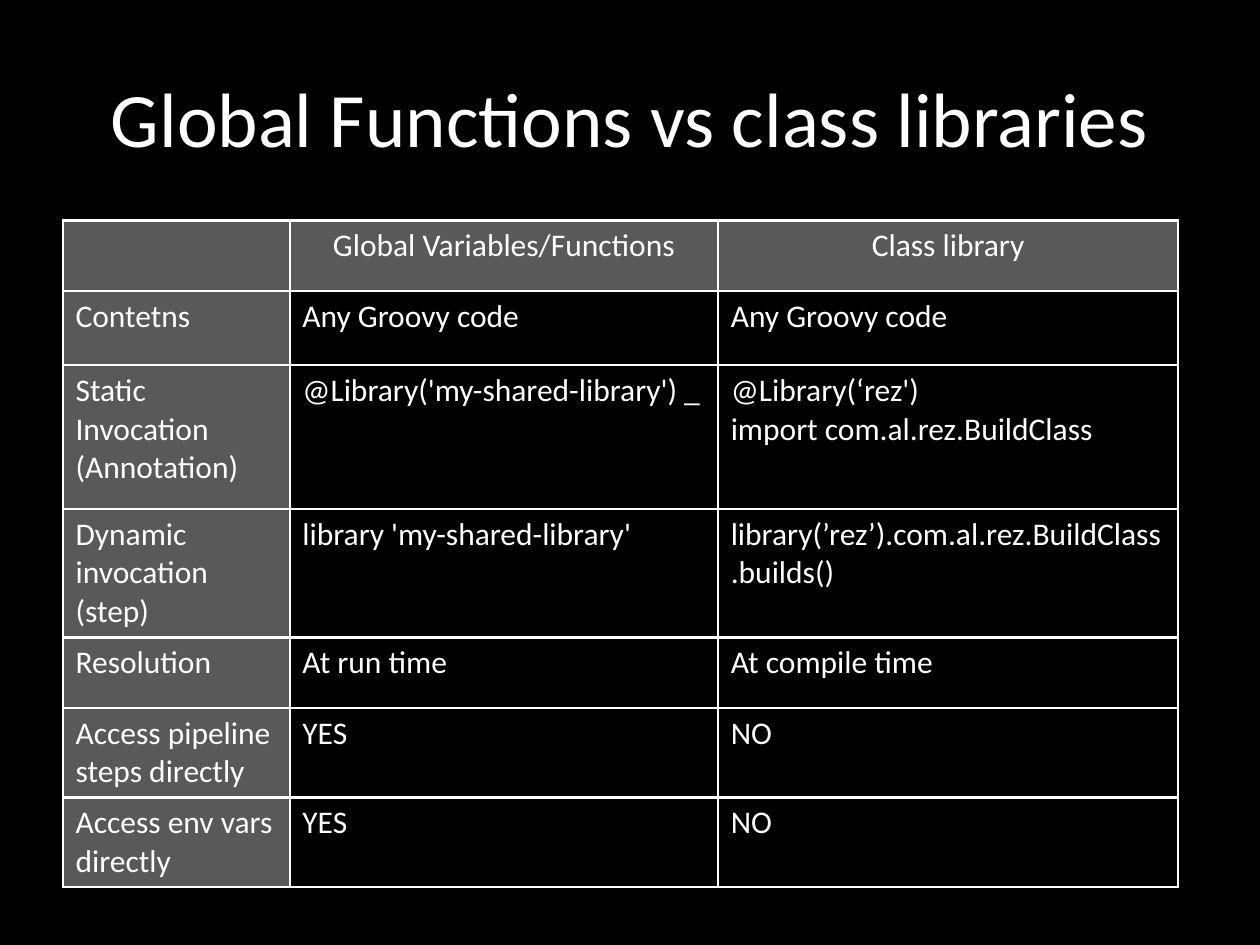
from lxml import etree
from pptx import Presentation
from pptx.dml.color import RGBColor
from pptx.enum.text import MSO_ANCHOR, PP_ALIGN
from pptx.oxml.ns import qn
from pptx.util import Inches, Pt

BLACK = RGBColor(0x00, 0x00, 0x00)
WHITE = RGBColor(0xFF, 0xFF, 0xFF)
GRAY = RGBColor(0x59, 0x59, 0x59)
LEFT, CENTER = PP_ALIGN.LEFT, PP_ALIGN.CENTER
MIDDLE = MSO_ANCHOR.MIDDLE
TITLE_ONLY = 5
WIDTH, HEIGHT = Inches(10), Inches(7.5)
EDGE = 1.47

COLS = [1.8, 3.4, 3.65]
ROWS = [0.56, 0.59, 1.14, 1.02, 0.56, 0.71, 0.71]
CELLS = [
    ["", "Global Variables/Functions", "Class library"],
    ["Contetns", "Any Groovy code", "Any Groovy code"],
    ["Static\nInvocation\n(Annotation)", "@Library('my-shared-library') _",
     "@Library(‘rez')\nimport com.al.rez.BuildClass"],
    ["Dynamic invocation\n(step)", "library 'my-shared-library'",
     "library(’rez’).com.al.rez.BuildClass.builds()"],
    ["Resolution", "At run time", "At compile time"],
    ["Access pipeline steps directly", "YES", "NO"],
    ["Access env vars directly", "YES", "NO"],
]


class Deck:
    font = {"name": "Calibri"}

    def __init__(self):
        self.prs = Presentation()
        self.prs.slide_width, self.prs.slide_height = WIDTH, HEIGHT
        self.slide = self.prs.slides.add_slide(self.prs.slide_layouts[TITLE_ONLY])
        fill = self.slide.background.fill
        fill.solid()
        fill.fore_color.rgb = BLACK

    def box(self, x, y, w, h):
        """Turn shares of the slide's size into lengths."""
        return {"left": int(x * WIDTH), "top": int(y * HEIGHT),
                "width": int(w * WIDTH), "height": int(h * HEIGHT)}

    def label(self, frame, text, size, align):
        frame.text = text
        for para in frame.paragraphs:
            para.alignment = align
            for run in para.runs:
                for key, value in {**self.font, "size": Pt(size)}.items():
                    setattr(run.font, key, value)
                run.font.color.rgb = WHITE

    def title(self, text, *area):
        shape = self.slide.shapes.title
        for key, value in self.box(*area).items():
            setattr(shape, key, value)
        shape.text_frame.vertical_anchor = MIDDLE
        self.label(shape.text_frame, text, 44, CENTER)

    def border(self, cell):
        props = cell._tc.get_or_add_tcPr()
        for spot, side in enumerate(("lnL", "lnR", "lnT", "lnB")):
            line = etree.Element(qn(f"a:{side}"), w=str(Pt(EDGE)))
            fill = etree.SubElement(line, qn("a:solidFill"))
            etree.SubElement(fill, qn("a:srgbClr"), val=str(WHITE))
            props.insert(spot, line)

    def table(self, cells, cols, rows, x, y):
        area = self.box(x, y, Inches(sum(cols)) / WIDTH, Inches(sum(rows)) / HEIGHT)
        table = self.slide.shapes.add_table(len(rows), len(cols), **area).table
        table.first_row = table.horz_banding = False
        for col, width in zip(table.columns, cols):
            col.width = Inches(width)
        for row, height in zip(table.rows, rows):
            row.height = Inches(height)
        for r, line in enumerate(cells):
            for c, text in enumerate(line):
                cell = table.cell(r, c)
                cell.fill.solid()
                cell.fill.fore_color.rgb = BLACK if r and c else GRAY
                self.label(cell.text_frame, text, 18, LEFT if r else CENTER)
                self.border(cell)


def main():
    deck = Deck()
    deck.title("Global Functions vs class libraries", 0.05, 0.04, 0.9, 1 / 6)
    deck.table(CELLS, COLS, ROWS, 0.05, 7 / 30)
    deck.prs.save("out.pptx")


if __name__ == "__main__":
    main()
